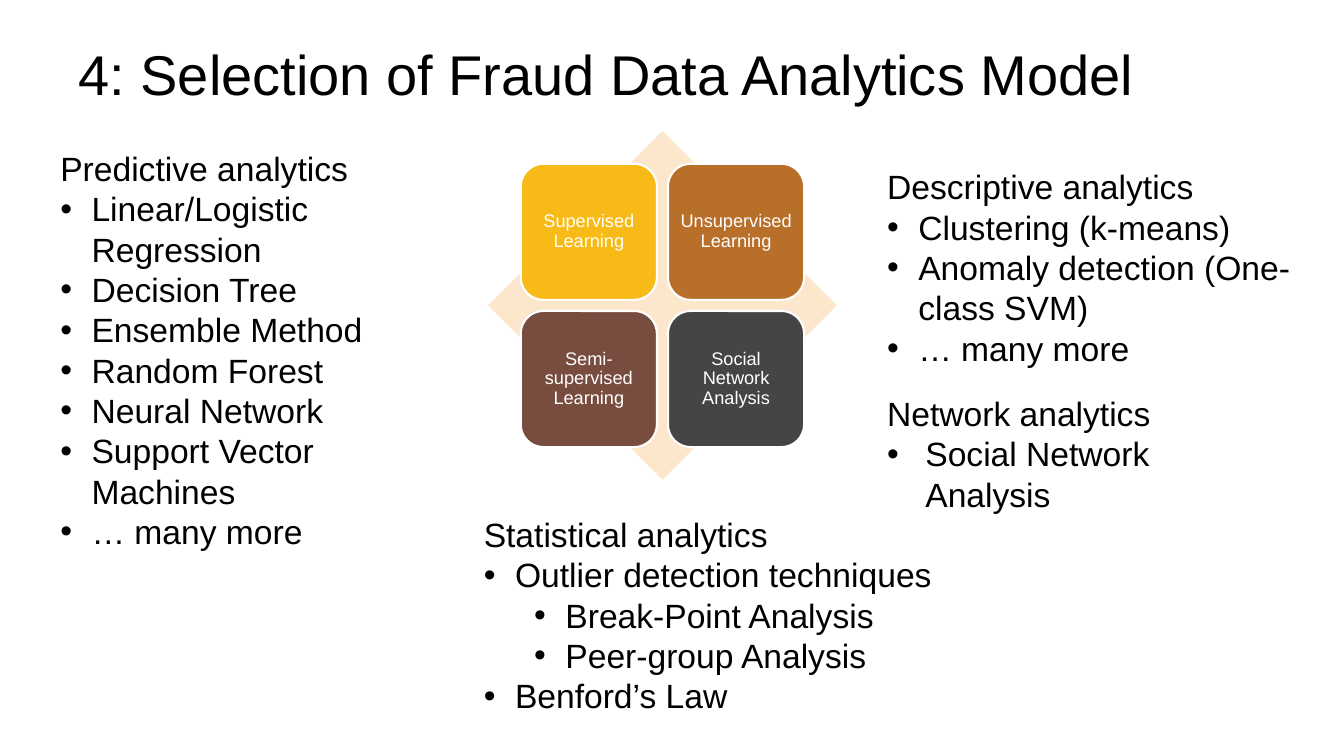
from dataclasses import dataclass

from lxml import etree
from pptx import Presentation
from pptx.dml.color import RGBColor
from pptx.enum import shapes, text
from pptx.oxml.ns import qn
from pptx.util import Inches, Pt


@dataclass(frozen=True)
class Theme:
    font: str = "Arial"
    ink: str = "000000"
    light: str = "FFFFFF"
    diamond: str = "FCE7CC"
    title_size: int = 40
    list_size: int = 24
    tile_size: int = 13


THEME = Theme()

TITLE = "4: Selection of Fraud Data Analytics Model"

# Tiles in reading order, two per row: label, fill
TILES = [
    ("Supervised Learning", "F8BA16"),
    ("Unsupervised Learning", "B86F2A"),
    ("Semi-supervised Learning", "784C3E"),
    ("Social Network Analysis", "454545"),
]

# Box (left, top, width, height), bullet indent, heading, (level, item) pairs
LISTS = [
    ((0.5, 1.42, 4.13, 4.14), 0.31, "Predictive analytics", [
        (0, "Linear/Logistic Regression"),
        (0, "Decision Tree"),
        (0, "Ensemble Method"),
        (0, "Random Forest"),
        (0, "Neural Network"),
        (0, "Support Vector Machines"),
        (0, "… many more"),
    ]),
    ((8.7, 1.6, 4.37, 2.12), 0.31, "Descriptive analytics", [
        (0, "Clustering (k-means)"),
        (0, "Anomaly detection (One-class SVM)"),
        (0, "… many more"),
    ]),
    ((4.7, 5.05, 6.6, 2.12), 0.31, "Statistical analytics", [
        (0, "Outlier detection techniques"),
        (1, "Break-Point Analysis"),
        (1, "Peer-group Analysis"),
        (0, "Benford’s Law"),
    ]),
    ((8.7, 3.85, 3.9, 1.31), 0.38, "Network analytics", [
        (0, "Social Network Analysis"),
    ]),
]

CENTER_X, CENTER_Y = 6.57, 3.03
DIAMOND_SIDE = 3.46
TILE_SIDE = 1.35
TILE_PITCH = 1.46
TILE_INSET = 0.04
LEVEL_STEP = 0.5


def add_run(paragraph, words, size, color):
    run = paragraph.add_run()
    run.text = words
    run.font.name = THEME.font
    run.font.size = Pt(size)
    run.font.color.rgb = RGBColor.from_string(color)


def add_text_box(slide, box):
    frame = slide.shapes.add_textbox(*map(Inches, box)).text_frame
    frame.word_wrap = True
    return frame


def add_centered_square(slide, kind, center_x, center_y, side, fill):
    shape = slide.shapes.add_shape(
        kind, Inches(center_x - side / 2), Inches(center_y - side / 2),
        Inches(side), Inches(side))
    shape.shadow.inherit = False
    shape.fill.solid()
    shape.fill.fore_color.rgb = RGBColor.from_string(fill)
    shape.line.fill.background()
    return shape


def set_bullet(paragraph, level, indent):
    paragraph.level = level
    properties = paragraph._p.get_or_add_pPr()
    properties.set("marL", str(Inches(level * LEVEL_STEP + indent)))
    properties.set("indent", str(-Inches(indent)))
    etree.SubElement(properties, qn("a:buFont")).set("typeface", THEME.font)
    etree.SubElement(properties, qn("a:buChar")).set("char", "•")


def add_title(slide):
    frame = add_text_box(slide, (0.68, 0.37, 12.65, 0.79))
    frame.vertical_anchor = text.MSO_ANCHOR.MIDDLE
    paragraph = frame.paragraphs[0]
    paragraph.line_spacing = 0.9
    add_run(paragraph, TITLE, THEME.title_size, THEME.ink)


def add_tile(slide, index, label, fill):
    row, column = divmod(index, 2)
    tile = add_centered_square(
        slide, shapes.MSO_SHAPE.ROUNDED_RECTANGLE,
        CENTER_X + (column - 0.5) * TILE_PITCH,
        CENTER_Y + (row - 0.5) * TILE_PITCH, TILE_SIDE, fill)
    tile.line.color.rgb = RGBColor.from_string(THEME.light)
    tile.line.width = Pt(1.5)
    frame = tile.text_frame
    frame.word_wrap = True
    frame.vertical_anchor = text.MSO_ANCHOR.MIDDLE
    frame.margin_left = frame.margin_right = Inches(TILE_INSET)
    frame.margin_top = frame.margin_bottom = Inches(TILE_INSET)
    paragraph = frame.paragraphs[0]
    paragraph.alignment = text.PP_ALIGN.CENTER
    paragraph.line_spacing = 0.9
    add_run(paragraph, label, THEME.tile_size, THEME.light)


def add_list(slide, box, indent, heading, items):
    frame = add_text_box(slide, box)
    frame.auto_size = text.MSO_AUTO_SIZE.SHAPE_TO_FIT_TEXT
    add_run(frame.paragraphs[0], heading, THEME.list_size, THEME.ink)
    for level, item in items:
        paragraph = frame.add_paragraph()
        set_bullet(paragraph, level, indent)
        add_run(paragraph, item, THEME.list_size, THEME.ink)


def main():
    presentation = Presentation()
    presentation.slide_width = Inches(13.33)
    presentation.slide_height = Inches(7.5)
    slide = presentation.slides.add_slide(presentation.slide_layouts[6])

    add_title(slide)
    add_centered_square(slide, shapes.MSO_SHAPE.DIAMOND,
                        CENTER_X, CENTER_Y, DIAMOND_SIDE, THEME.diamond)
    for index, (label, fill) in enumerate(TILES):
        add_tile(slide, index, label, fill)
    for box, indent, heading, items in LISTS:
        add_list(slide, box, indent, heading, items)

    presentation.save("out.pptx")


if __name__ == "__main__":
    main()
